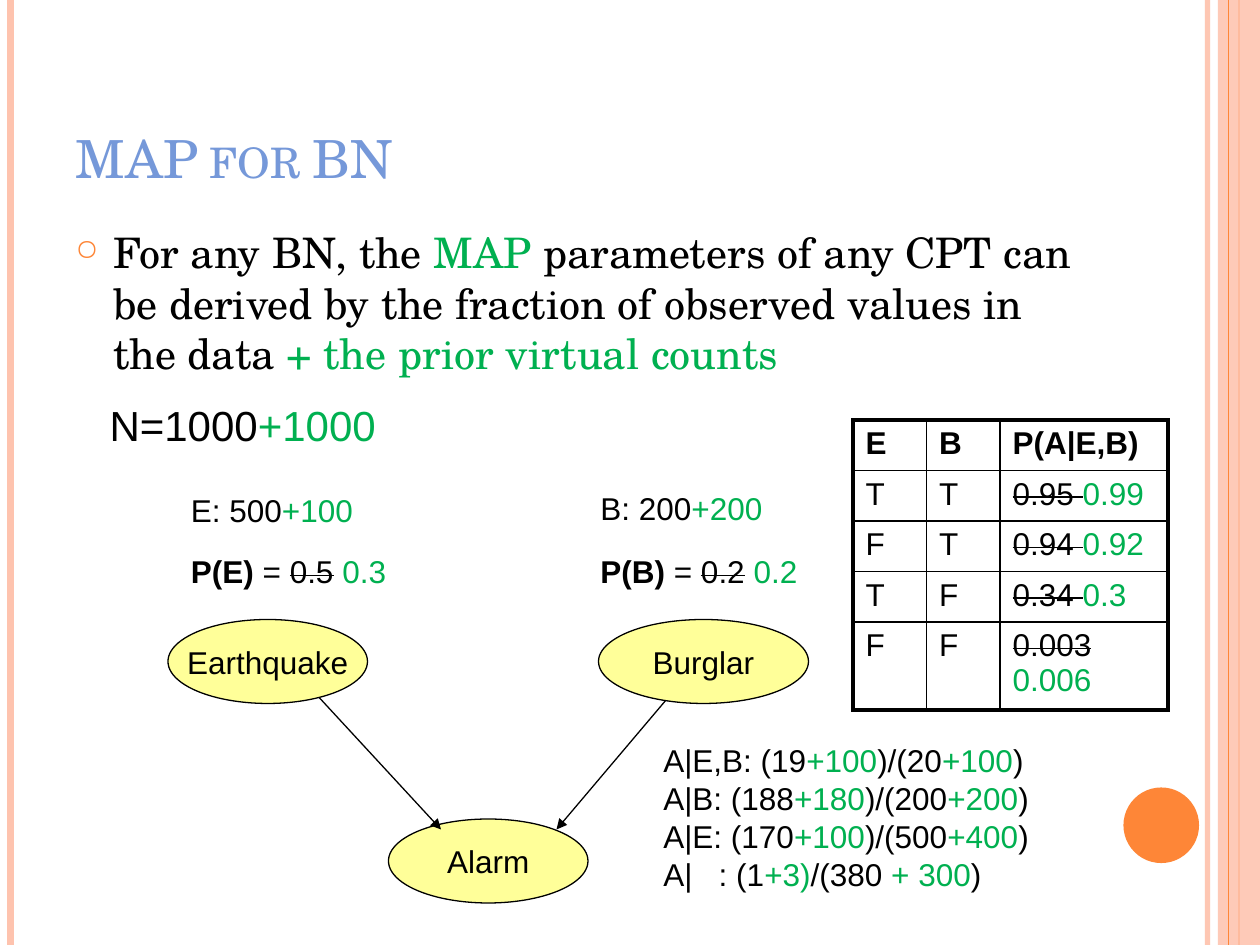
from pptx import Presentation
from pptx.dml.color import RGBColor
from pptx.enum.shapes import MSO_CONNECTOR, MSO_SHAPE
from pptx.enum.text import MSO_ANCHOR, MSO_AUTO_SIZE, PP_ALIGN
from pptx.oxml.ns import qn
from pptx.util import Pt
from lxml.etree import SubElement

HUES = {"ink": "000000", "green": "00B050", "title": "7598D9",
        "peach": "FEC3AE", "orange": "FE8637", "node": "FFFF99"}
MARKS = {"{": "green", "}": "green", "*": "bold", "~": "strike"}
SERIF, SANS = "TeX Gyre Schola", "Arial"


def hue(name):
    return RGBColor.from_string(HUES[name])


def put(parent, tag, **attrs):
    node = SubElement(parent, qn(tag))
    for key, val in attrs.items():
        node.set(key, str(val))
    return node


def fade(fill, alpha):
    color = fill._xPr.find(qn("a:solidFill"))[0]
    put(color, "a:alpha", val=alpha * 1000)


class Deck:
    def __init__(self):
        self.prs = Presentation()
        self.prs.slide_width, self.prs.slide_height = Pt(720), Pt(540)
        self.slide = self.prs.slides.add_slide(self.prs.slide_layouts[5])
        self.shapes = self.slide.shapes

    def runs(self, para, text, size=18, face=SANS, color="ink"):
        state = {"green": False, "bold": False, "strike": False}
        part = ""
        for char in text + "\n":
            if char not in MARKS and char != "\n":
                part += char
                continue
            if part:
                run = para.add_run()
                run.text = part
                look = {"size": Pt(size), "name": face, "bold": state["bold"]}
                for key, val in look.items():
                    setattr(run.font, key, val)
                run.font.color.rgb = hue("green" if state["green"] else color)
                if state["strike"]:
                    run._r.get_or_add_rPr().set("strike", "sngStrike")
                part = ""
            if char in MARKS:
                state[MARKS[char]] = not state[MARKS[char]]
            else:
                para.add_line_break()
        para._p.remove(para._p.findall(qn("a:br"))[-1])

    def title(self, text, *area):
        box = self.shapes.title
        for key, val in zip(("left", "top", "width", "height"), area):
            setattr(box, key, Pt(val))
        frame = box.text_frame
        look = {"vertical_anchor": MSO_ANCHOR.BOTTOM, "word_wrap": True,
                "auto_size": MSO_AUTO_SIZE.NONE}
        for key, val in look.items():
            setattr(frame, key, val)
        para = frame.paragraphs[0]
        para.alignment = PP_ALIGN.LEFT
        self.runs(para, text, 30, SERIF, "title")
        para.runs[0]._r.get_or_add_rPr().set("cap", "small")

    def text(self, text, *area, size=18, face=SANS):
        frame = self.shapes.add_textbox(*map(Pt, area)).text_frame
        frame.word_wrap = True
        para = frame.paragraphs[0]
        self.runs(para, text, size, face)
        return para

    def bullet(self, text, *area):
        para = self.text(text, *area, size=24, face=SERIF)
        para.space_before = Pt(6)
        props = para._p.get_or_add_pPr()
        props.set("marL", str(Pt(21.6)))
        props.set("indent", str(-Pt(21.6)))
        put(put(props, "a:buClr"), "a:srgbClr", val=HUES["orange"])
        put(props, "a:buSzPct", val=70000)
        put(props, "a:buChar", char="○")

    def shape(self, kind, fill, *area, alpha=100):
        item = self.shapes.add_shape(kind, *map(Pt, area))
        item.shadow.inherit = False
        item.fill.solid()
        item.fill.fore_color.rgb = hue(fill)
        if alpha < 100:
            fade(item.fill, alpha)
        item.line.fill.background()
        return item

    def node(self, text, *area):
        item = self.shape(MSO_SHAPE.OVAL, "node", *area)
        item.line.color.rgb = hue("ink")
        item.line.width = Pt(0.75)
        frame = item.text_frame
        frame.word_wrap = False
        frame.vertical_anchor = MSO_ANCHOR.MIDDLE
        frame.paragraphs[0].alignment = PP_ALIGN.CENTER
        self.runs(frame.paragraphs[0], text)

    def line(self, *ends, color="ink", width=0.75, alpha=100, arrow=False):
        item = self.shapes.add_connector(MSO_CONNECTOR.STRAIGHT, *map(Pt, ends))
        item.line.color.rgb = hue(color)
        item.line.width = Pt(width)
        if alpha < 100:
            fade(item.line.fill, alpha)
        if arrow:
            put(item.line._get_or_add_ln(), "a:tailEnd", type="triangle")
        put(item._element.spPr, "a:effectLst")

    def border(self, cell, sides):
        cell.fill.background()
        props = cell._tc.get_or_add_tcPr()
        for spot, (side, outer) in enumerate(sides.items()):
            edge = put(props, "a:ln" + side, w=Pt(2.25 if outer else 1))
            put(put(edge, "a:solidFill"), "a:srgbClr", val=HUES["ink"])
            props.insert(spot, edge)

    def table(self, rows, left, top, widths, heights):
        area = left, top, sum(widths), sum(heights)
        grid = self.shapes.add_table(len(rows), len(widths), *map(Pt, area)).table
        grid.first_row = grid.horz_banding = False
        for col, width in zip(grid.columns, widths):
            col.width = Pt(width)
        for row, height in zip(grid.rows, heights):
            row.height = Pt(height)
        for i, row in enumerate(rows):
            for j, text in enumerate(row):
                cell = grid.cell(i, j)
                self.runs(cell.text_frame.paragraphs[0], text)
                self.border(cell, {"L": j == 0, "R": j == len(widths) - 1,
                                   "T": i == 0, "B": i == len(rows) - 1})


def main():
    deck = Deck()
    for x, color, width, alpha in ((690, "peach", 3, 93), (6, "peach", 4.5, 100),
                                   (708, "orange", 1.5, 100)):
        deck.line(x, 0, x, 540, color=color, width=width, alpha=alpha)
    deck.shape(MSO_SHAPE.RECTANGLE, "peach", 696, 0, 24, 540, alpha=87)
    deck.line(702, 0, 702, 540, color="orange")
    deck.shape(MSO_SHAPE.OVAL, "orange", 642, 450, 43.2, 43.2)

    deck.title("MAP for BN", 36, 21.6, 588, 90)
    deck.bullet("For any BN, the {MAP} parameters of any CPT can be derived by "
                "the fraction of observed values in the data"
                "{ + the prior virtual counts}", 36, 126, 588, 384)

    deck.node("Alarm", 222, 468, 114, 48)
    deck.line(180, 396, 252, 474, arrow=True)
    deck.line(384, 396, 318, 474, arrow=True)
    deck.node("Earthquake", 96, 354, 114, 48)
    deck.node("Burglar", 342, 354, 120, 48)

    deck.text("E: 500{+100}", 102, 277.2, 150, 29)
    deck.text("B: 200{+200}", 336, 276, 150, 29)
    deck.text("N=1000{+1000}", 55.5, 224.5, 184, 36, size=24)
    deck.text("*P(E)* = ~0.5~ {0.3}", 102, 312, 150, 29)
    deck.text("*P(B)* = ~0.2~ {0.2}", 336, 312, 150, 29)
    deck.text("A|E,B: (19{+100})/(20{+100})\n"
              "A|B: (188{+180})/(200{+200})\n"
              "A|E: (170{+100})/(500{+400})\n"
              "A|   : (1{+3)}/(380 {+ 300})", 372, 420, 252, 94)

    rows = [("*E*", "*B*", "*P(A|E,B)*"),
            ("T", "T", "~0.95 ~{0.99}"),
            ("F", "T", "~0.94 ~{0.92}"),
            ("T", "F", "~0.34 ~{0.3}"),
            ("F", "F", "~0.003~\n{0.006}")]
    deck.table(rows, 487.5, 240, (42, 42, 96), [28.8] * 4 + [50.4])
    deck.prs.save("out.pptx")


if __name__ == "__main__":
    main()
